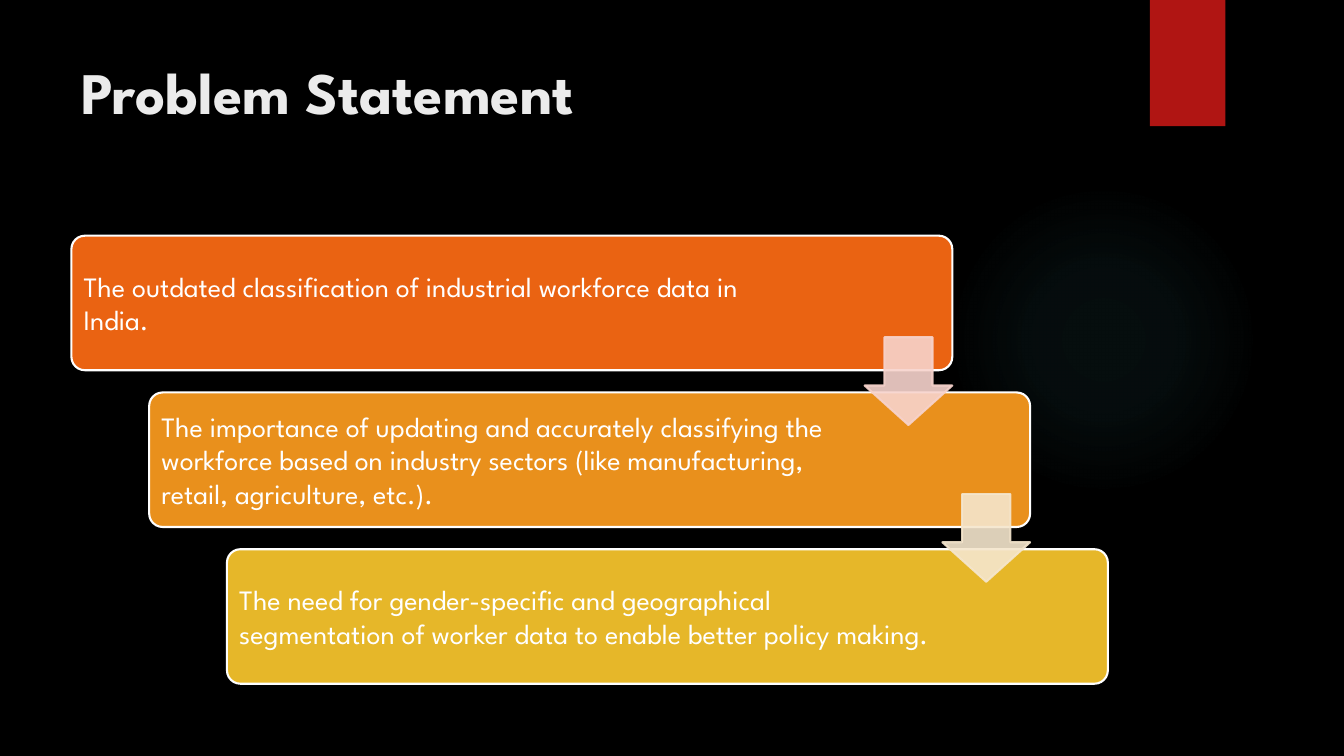
from lxml.etree import SubElement
from pptx import Presentation
from pptx.dml.color import RGBColor
from pptx.enum.shapes import MSO_SHAPE as Shape
from pptx.enum.text import MSO_ANCHOR as Anchor, PP_ALIGN as Align
from pptx.oxml import parse_xml
from pptx.oxml.ns import nsdecls, qn
from pptx.util import Cm, Pt

BLACK = RGBColor(0x00, 0x00, 0x00)
WHITE = RGBColor(0xFF, 0xFF, 0xFF)
PALE = RGBColor(0xEB, 0xEB, 0xEB)
RED = RGBColor(0xB0, 0x15, 0x13)
ORANGE = RGBColor(0xEA, 0x63, 0x12)
AMBER = RGBColor(0xE9, 0x90, 0x1C)
GOLD = RGBColor(0xE6, 0xB7, 0x29)
PINK = RGBColor(0xF7, 0xD3, 0xCC)
CREAM = RGBColor(0xF5, 0xE6, 0xCD)
TEAL = RGBColor(0x50, 0xB9, 0xC1)


def write(frame, text, size, color, anchor, bold=False, inset=None):
    frame.word_wrap = True
    frame.vertical_anchor = anchor
    if inset is not None:
        frame.margin_left = frame.margin_right = inset
        frame.margin_top = frame.margin_bottom = inset
    para = frame.paragraphs[0]
    para.alignment = Align.LEFT
    run = para.add_run()
    run.text = text
    font = run.font
    font.name = "League Spartan"
    font.size = Pt(size)
    font.bold = bold
    font.color.rgb = color


def draw(kind, left, top, width, height, fill, line=None, adjust=(), alpha=None):
    shape = slide.shapes.add_shape(kind, Cm(left), Cm(top), Cm(width), Cm(height))
    shape.shadow.inherit = False
    shape.fill.solid()
    shape.fill.fore_color.rgb = fill
    if line is None:
        shape.line.fill.background()
    else:
        shape.line.color.rgb = line
        shape.line.width = Pt(1.5)
    for i, value in enumerate(adjust):
        shape.adjustments[i] = value
    if alpha is not None:
        for color in shape._element.spPr.iter(qn("a:srgbClr")):
            SubElement(color, qn("a:alpha"), val=str(alpha * 1000))
    return shape


deck = Presentation()
deck.slide_width = Cm(33.87)
deck.slide_height = Cm(19.05)
slide = deck.slides.add_slide(deck.slide_layouts[5])
slide.background.fill.solid()
slide.background.fill.fore_color.rgb = BLACK

glow = draw(Shape.OVAL, 23.9, 4.65, 7.82, 7.82, TEAL)
stops = "".join(
    f'<a:gs pos="{pos * 1000}"><a:srgbClr val="{TEAL}">'
    f'<a:alpha val="{alpha * 1000}"/></a:srgbClr></a:gs>'
    for pos, alpha in ((0, 7), (36, 6), (69, 0))
)
grad = parse_xml(
    f'<a:gradFill {nsdecls("a")}><a:gsLst>{stops}</a:gsLst><a:path path="circle">'
    '<a:fillToRect l="50000" t="50000" r="50000" b="50000"/></a:path></a:gradFill>'
)
props = glow._element.spPr
props.replace(props.find(qn("a:solidFill")), grad)

draw(Shape.RECTANGLE, 28.98, 0, 1.9, 3.18, RED)

title = slide.shapes.title
title.left, title.top = Cm(1.8), Cm(1.27)
title.width, title.height = Cm(26.14), Cm(3.89)
write(title.text_frame, "Problem Statement", 42, PALE, Anchor.TOP, bold=True)

LEFT, TOP = 1.8, 5.94
STEP, DROP = 1.96, 3.95
WIDE, HIGH = 22.2, 3.39
HEAD = 2.21
cards = [
    ("The outdated classification of industrial workforce data in India.", ORANGE, 18.57),
    ("The importance of updating and accurately classifying the workforce based on "
     "industry sectors (like manufacturing, retail, agriculture, etc.).", AMBER, 17.86),
    ("The need for gender-specific and geographical segmentation of worker data "
     "to enable better policy making.", GOLD, 17.86),
]
for i, (text, fill, width) in enumerate(cards):
    left, top = LEFT + i * STEP, TOP + i * DROP
    draw(Shape.ROUNDED_RECTANGLE, left, top, WIDE, HIGH, fill, WHITE, [0.1])
    box = slide.shapes.add_textbox(Cm(left + 0.1), Cm(top + 0.1), Cm(width), Cm(HIGH - 0.2))
    write(box.text_frame, text, 20, WHITE, Anchor.MIDDLE, inset=Cm(0.21))

for i, fill in enumerate((PINK, CREAM)):
    left, top = LEFT + WIDE - HEAD + i * STEP, 8.5 + i * DROP
    draw(Shape.DOWN_ARROW, left, top, HEAD, HEAD, fill, fill, [0.55, 0.45], 90)

deck.save("out.pptx")
